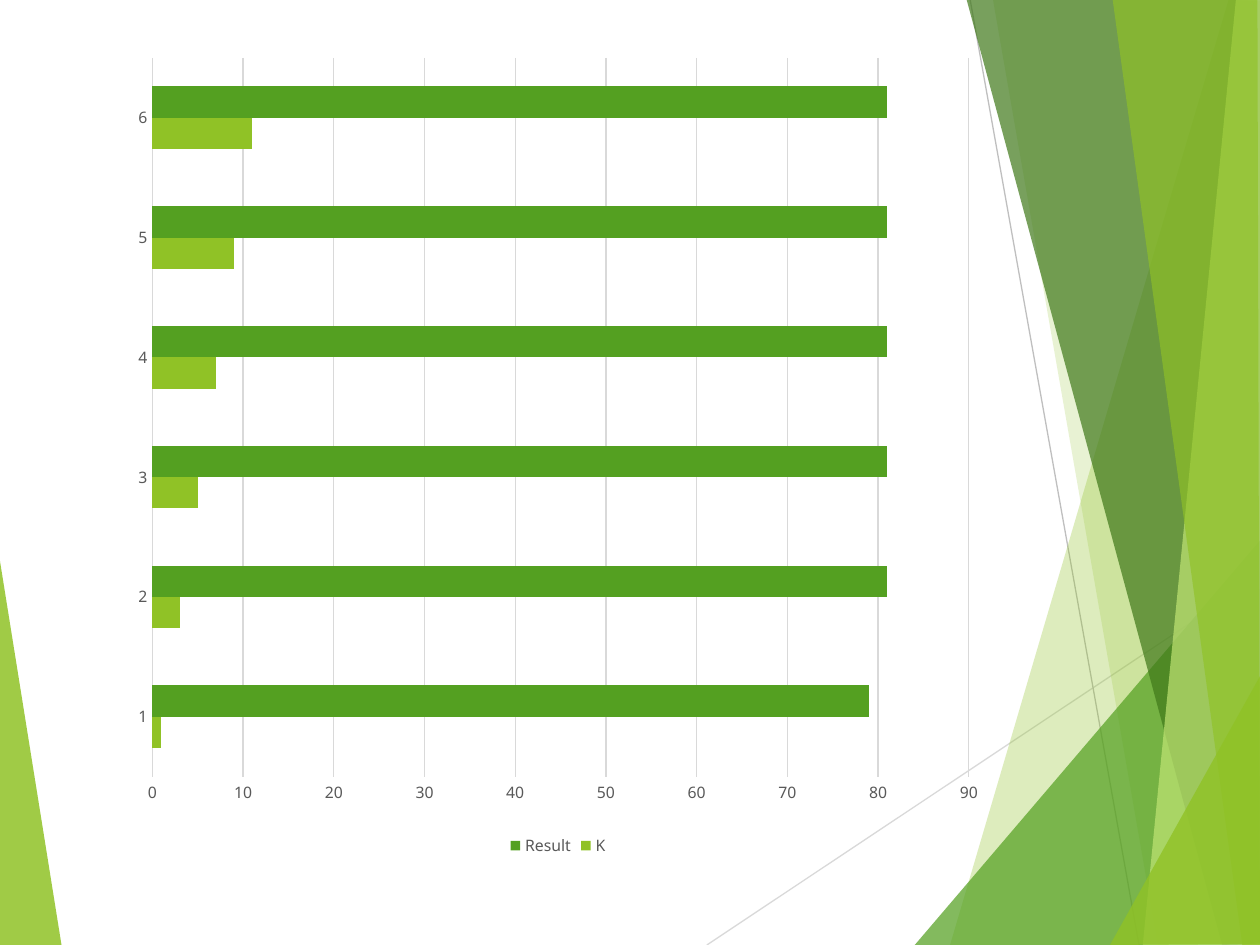
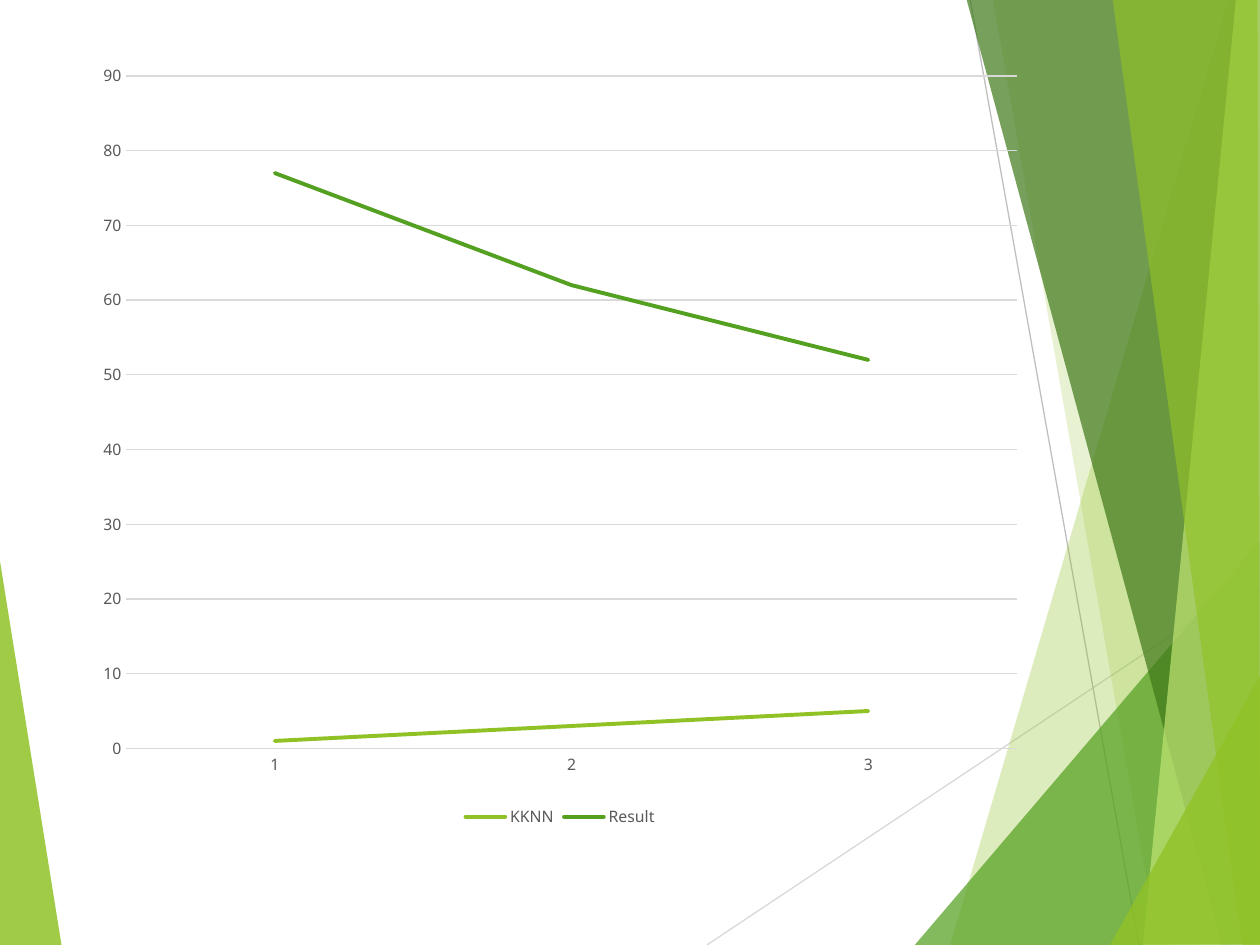
"""Build two chart slides over a shared backdrop of green facets."""
from pptx import Presentation
from pptx.chart.data import CategoryChartData
from pptx.dml.color import RGBColor
from pptx.enum.chart import XL_CHART_TYPE, XL_LEGEND_POSITION, XL_TICK_MARK
from pptx.enum.shapes import MSO_CONNECTOR
from pptx.oxml.ns import qn
from pptx.oxml.xmlchemy import OxmlElement
from pptx.util import Inches, Pt

FONT = "Noto Sans"
LIME = "90C226"
GREEN = "54A021"
DARK_GREEN = "3F7819"
PALE_LIME = "C0E474"
TEXT_GRAY = "595959"
GRID_GRAY = "D9D9D9"
RAY_GRAY = "BFBFBF"

LEFT_FACET = (LIME, 85, [(-0.01, 4.39), (0.49, 7.51), (-0.01, 7.5)])
RAYS = [
    (GRID_GRAY, (5.61, 7.5), (10.01, 4.57)),
    (RAY_GRAY, (7.7, 0), (9.04, 7.5)),
]
RIGHT_FACETS = [
    (LIME, 30, [(9.75, 0), (7.54, 7.5), (10.02, 7.51), (10.01, 0.01)]),
    (LIME, 20, [(7.88, -0.01), (9.19, 7.5), (10.01, 7.5), (10.01, -0.01)]),
    (GREEN, 72, [(7.26, 7.5), (10, 4.29), (10.01, 7.5)]),
    (DARK_GREEN, 70, [(7.67, -0.01), (9.7, 7.5), (10.01, 7.49), (10.01, -0.01)]),
    (PALE_LIME, 70, [(9.81, -0.01), (9.07, 7.5), (10.01, 7.5), (10, -0.01)]),
    (LIME, 65, [(8.83, -0.01), (9.86, 7.5), (10, 7.5), (9.98, -0.01)]),
    (LIME, 80, [(8.81, 7.5), (10.01, 5.35), (10.01, 7.49)]),
]


def color(hex_string):
    """Return the colour for a hex string."""
    return RGBColor.from_string(hex_string)


def format_text(text, size=9, fill=TEXT_GRAY, name=FONT):
    """Set the font of a chart part that carries text."""
    text.font.size = Pt(size)
    text.font.name = name
    text.font.color.rgb = color(fill)


def format_line(line, fill, width=0.75):
    """Set the colour and width of a line."""
    line.color.rgb = color(fill)
    line.width = Pt(width)


def add_facet(slide, fill, opacity, corners):
    """Draw one translucent polygon."""
    points = [(Inches(x), Inches(y)) for x, y in corners]
    builder = slide.shapes.build_freeform(*points[0])
    builder.add_line_segments(points[1:], close=True)
    shape = builder.convert_to_shape()
    shape.shadow.inherit = False
    shape.fill.solid()
    shape.fill.fore_color.rgb = color(fill)
    shape.line.fill.background()
    alpha = OxmlElement("a:alpha")
    alpha.set("val", str(opacity * 1000))
    shape.element.spPr.find(qn("a:solidFill"))[0].append(alpha)


def add_ray(slide, fill, start, end):
    """Draw one thin straight line."""
    connector = slide.shapes.add_connector(
        MSO_CONNECTOR.STRAIGHT, *map(Inches, start + end)
    )
    format_line(connector.line, fill)
    connector.element.spPr.append(OxmlElement("a:effectLst"))


def add_backdrop(slide, layout):
    """Draw the backdrop and hand it to the layout that all slides share."""
    for placeholder in list(layout.placeholders):
        layout.shapes.element.remove(placeholder.element)
    add_facet(slide, *LEFT_FACET)
    for ray in RAYS:
        add_ray(slide, *ray)
    for facet in RIGHT_FACETS:
        add_facet(slide, *facet)
    for shape in list(slide.shapes):
        layout.shapes.element.append(shape.element)


def format_axes(chart):
    """Style both axes, with gridlines on a value axis from 0 to 90."""
    for axis in (chart.category_axis, chart.value_axis):
        axis.major_tick_mark = XL_TICK_MARK.NONE
        axis.minor_tick_mark = XL_TICK_MARK.NONE
        format_text(axis.tick_labels)
    chart.category_axis.has_major_gridlines = False
    format_line(chart.category_axis.format.line, GRID_GRAY)
    value_axis = chart.value_axis
    value_axis.minimum_scale = 0
    value_axis.maximum_scale = 90
    value_axis.major_unit = 10
    value_axis.format.line.fill.background()
    value_axis.has_major_gridlines = True
    format_line(value_axis.major_gridlines.format.line, GRID_GRAY)


def add_chart(slide, chart_type, box, series_values):
    """Add a chart with numbered categories and a legend below."""
    data = CategoryChartData()
    count = len(next(iter(series_values.values())))
    data.categories = [str(number) for number in range(1, count + 1)]
    for name, values in series_values.items():
        data.add_series(name, values)
    chart = slide.shapes.add_chart(chart_type, *map(Inches, box), data).chart
    chart.has_title = False
    format_text(chart, size=10, fill="000000")
    chart.has_legend = True
    chart.legend.position = XL_LEGEND_POSITION.BOTTOM
    chart.legend.include_in_layout = False
    format_text(chart.legend)
    format_axes(chart)
    chart.plots[0].vary_by_categories = False
    return chart


def add_bar_chart(slide, box, series_values):
    """Add a clustered bar chart."""
    chart = add_chart(slide, XL_CHART_TYPE.BAR_CLUSTERED, box, series_values)
    chart.plots[0].gap_width = 182
    for series, fill in zip(chart.plots[0].series, (LIME, GREEN)):
        series.format.fill.solid()
        series.format.fill.fore_color.rgb = color(fill)


def add_line_chart(slide, box, series_values):
    """Add a line chart with round line ends."""
    chart = add_chart(slide, XL_CHART_TYPE.LINE, box, series_values)
    for series, fill in zip(chart.plots[0].series, (LIME, GREEN)):
        series.smooth = False
        format_line(series.format.line, fill, width=2.25)
    for line in chart.element.xpath(".//c:ser/c:spPr/a:ln"):
        line.set("cap", "rnd")


def main():
    """Build and save the presentation."""
    presentation = Presentation()
    presentation.slide_width = Inches(10)
    presentation.slide_height = Inches(7.5)
    layout = presentation.slide_layouts.get_by_name("Blank")
    bar_slide = presentation.slides.add_slide(layout)
    add_backdrop(bar_slide, layout)
    add_bar_chart(
        bar_slide,
        (0.96, 0.33, 6.94, 6.51),
        {"K": (1, 3, 5, 7, 9, 11), "Result": (79, 81, 81, 81, 81, 81)},
    )
    line_slide = presentation.slides.add_slide(layout)
    add_line_chart(
        line_slide,
        (0.67, 0.39, 7.55, 6.22),
        {"KKNN": (1, 3, 5), "Result": (77, 62, 52)},
    )
    presentation.save("out.pptx")


main()
